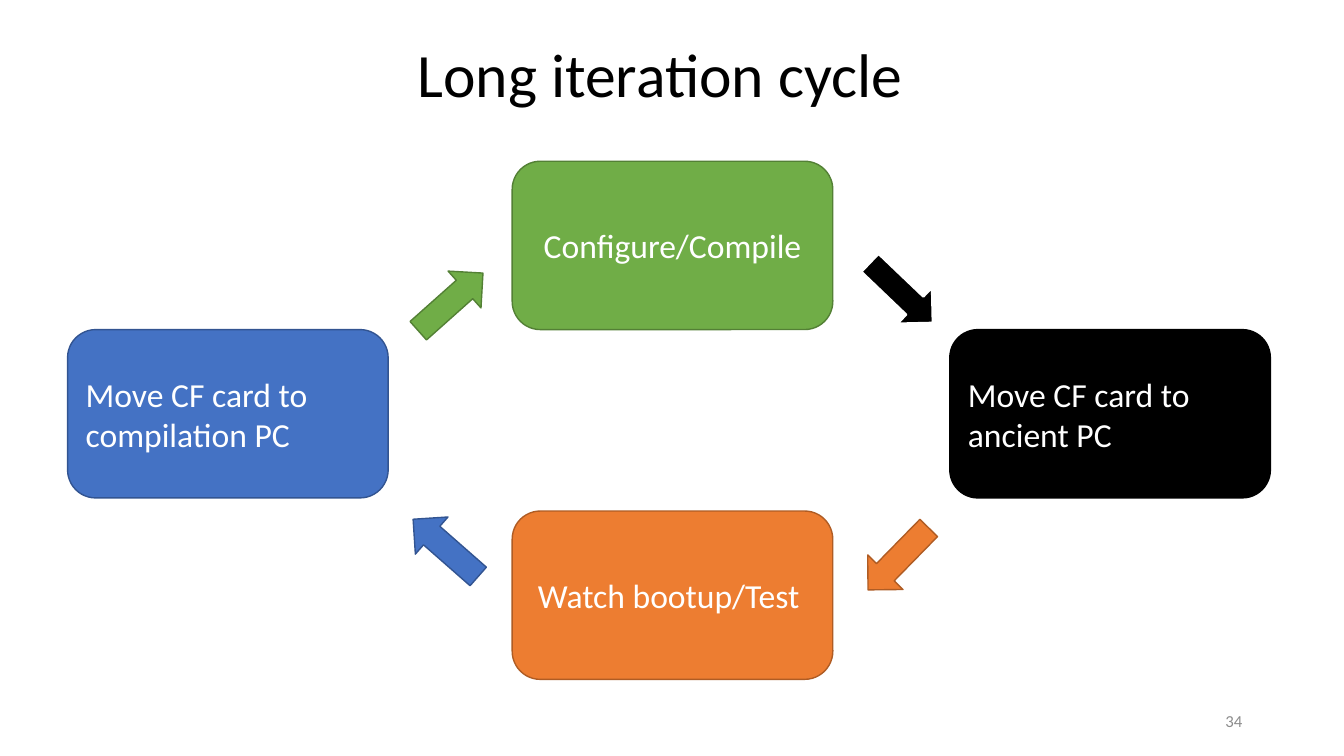
from pptx import Presentation
from pptx.dml.color import RGBColor
from pptx.enum.shapes import MSO_SHAPE as Shape
from pptx.enum.text import MSO_ANCHOR as Anchor, MSO_AUTO_SIZE as Fit, PP_ALIGN as Align
from pptx.util import Inches, Pt

BLACK = RGBColor(0x00, 0x00, 0x00)
WHITE = RGBColor(0xFF, 0xFF, 0xFF)
GRAY = RGBColor(0x8C, 0x8C, 0x8C)
BLUE, NAVY = RGBColor(0x44, 0x72, 0xC4), RGBColor(0x32, 0x54, 0x91)
GREEN, FOREST = RGBColor(0x70, 0xAD, 0x47), RGBColor(0x53, 0x80, 0x35)
ORANGE, RUST = RGBColor(0xED, 0x7D, 0x31), RGBColor(0xAF, 0x5C, 0x24)

SLIDE_SIZE = (13.33, 7.5)
COLUMNS = (0.67, 5.08, 9.42)
ROWS = (1.6, 3.27, 5.07)
STEP_SIZE = (3.18, 1.67)
ARROW_SIZE = (0.86, 0.49)

HEADING = ("Long iteration cycle", (4.04, 0.04, 5.64, 1.45))
PAGE = ("34", (COLUMNS[2], 6.95, 3, 0.4))

STEPS = [
    ("Move CF card to compilation PC", 0, 1, Align.LEFT, BLUE, NAVY),
    ("Configure/Compile", 1, 0, Align.CENTER, GREEN, FOREST),
    ("Move CF card to ancient PC", 2, 1, Align.LEFT, BLACK, BLACK),
    ("Watch bootup/Test ", 1, 2, Align.CENTER, ORANGE, RUST),
]
ARROWS = [
    ((3.99, 5.19), 221.3, BLUE, NAVY, 1),
    ((4.04, 2.75), 318.3, GREEN, FOREST, 1),
    ((8.48, 5.3), 134.4, ORANGE, RUST, 1),
    ((8.51, 2.66), 43.7, BLACK, WHITE, 1.5),
]


def set_all(target, values):
    for key, value in values.items():
        setattr(target, key, value)


def write(frame, text, size, color, align):
    set_all(frame, {"text": text, "word_wrap": True, "auto_size": Fit.NONE,
                    "vertical_anchor": Anchor.MIDDLE})
    paragraph = frame.paragraphs[0]
    paragraph.alignment = align
    set_all(paragraph.runs[0].font, {"name": "Calibri", "size": Pt(size)})
    paragraph.runs[0].font.color.rgb = color
    return paragraph


def draw(slide, preset, place, size, fill, edge, width):
    block = slide.shapes.add_shape(preset, *map(Inches, place + size))
    block.shadow.inherit = False
    block.fill.solid()
    block.fill.fore_color.rgb = fill
    block.line.color.rgb = edge
    block.line.width = Pt(width)
    return block


def main():
    deck = Presentation()
    deck.slide_width, deck.slide_height = map(Inches, SLIDE_SIZE)
    slide = deck.slides.add_slide(deck.slide_layouts[5])

    text, place = HEADING
    heading = slide.shapes.title
    set_all(heading, dict(zip(("left", "top", "width", "height"), map(Inches, place))))
    write(heading.text_frame, text, 44, BLACK, Align.LEFT).line_spacing = 0.9

    text, place = PAGE
    page = slide.shapes.add_textbox(*map(Inches, place))
    write(page.text_frame, text, 12, GRAY, Align.RIGHT)

    for text, column, row, align, fill, edge in STEPS:
        place = (COLUMNS[column], ROWS[row])
        step = draw(slide, Shape.ROUNDED_RECTANGLE, place, STEP_SIZE, fill, edge, 1)
        write(step.text_frame, text, 24, WHITE, align)

    for place, angle, fill, edge, width in ARROWS:
        arrow = draw(slide, Shape.RIGHT_ARROW, place, ARROW_SIZE, fill, edge, width)
        arrow.rotation = angle

    deck.save("out.pptx")


if __name__ == "__main__":
    main()
